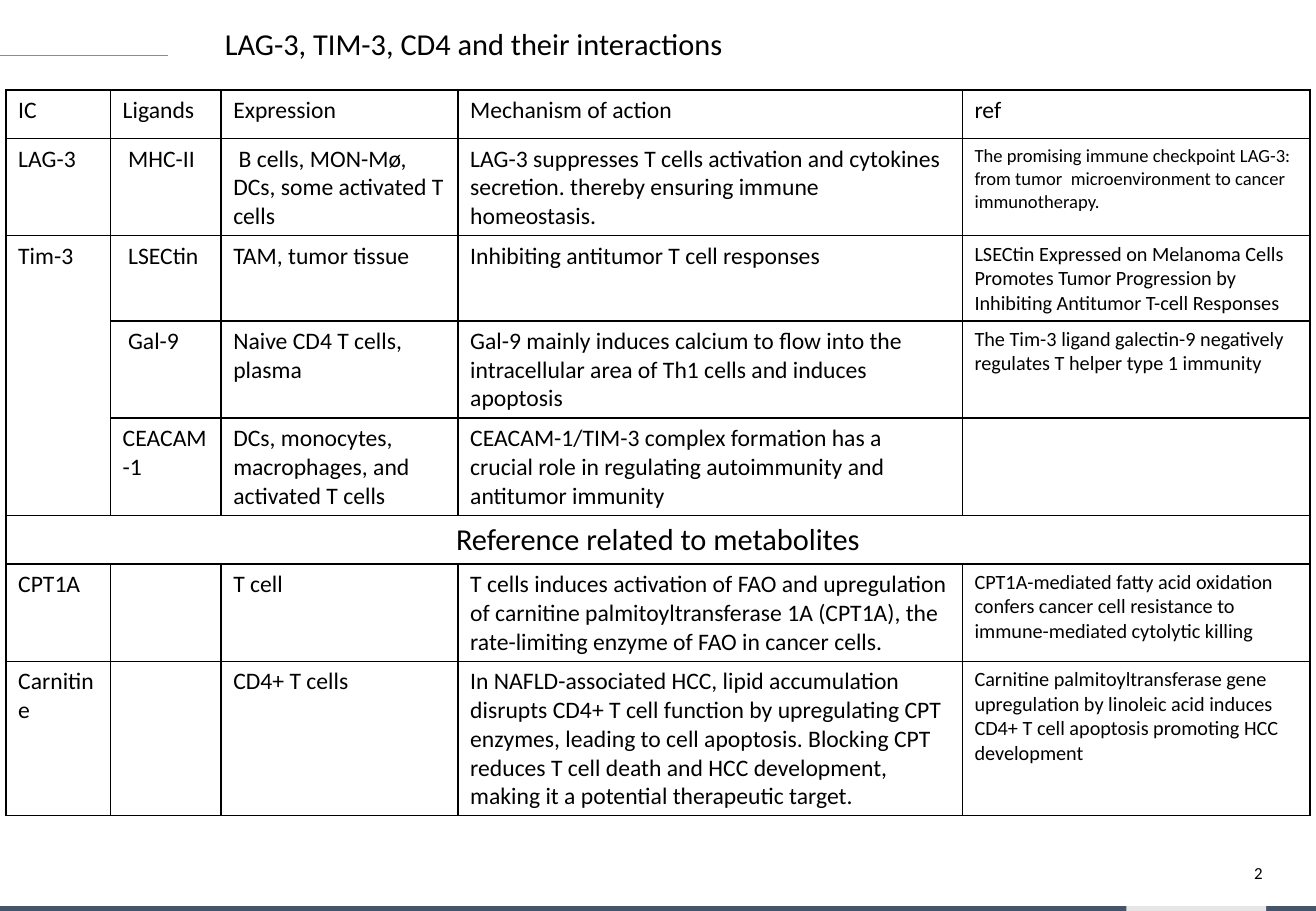
from dataclasses import dataclass

from lxml.etree import SubElement
from pptx import Presentation
from pptx.dml.color import RGBColor
from pptx.enum.shapes import MSO_CONNECTOR, MSO_SHAPE
from pptx.enum.text import MSO_ANCHOR, MSO_AUTO_SIZE, PP_ALIGN
from pptx.oxml.ns import qn
from pptx.util import Inches, Pt


@dataclass(frozen=True)
class Theme:
    font: str = "Calibri"
    ink: str = "000000"
    rule: str = "8C8C8C"
    bar: str = "44546A"
    bar_accent: str = "E7E6E6"
    heading: int = 18
    body: int = 14
    reference: int = 12
    small_reference: int = 11
    page: int = 10


THEME = Theme()
SLIDE_WIDTH, SLIDE_HEIGHT = 10.83, 7.5

COLUMN_WIDTHS = [0.86, 0.91, 1.95, 4.15, 2.86]
ROW_HEIGHTS = [0.4, 0.8, 0.7, 0.8, 0.8, 0.4, 0.8, 1.27]
REF_COLUMN = 4
SMALL_REF_ROW = 1
SECTION_ROW = 5
MERGES = [((2, 0), (4, 0)), ((SECTION_ROW, 0), (SECTION_ROW, REF_COLUMN))]

INTERACTIONS = [
    ["IC", "Ligands", "Expression", "Mechanism of action", "ref"],
    ["LAG-3", " MHC-II", " B cells, MON-Mø, DCs, some activated T cells",
     "LAG-3 suppresses T cells activation and cytokines secretion. "
     "thereby ensuring immune homeostasis.",
     "The promising immune checkpoint LAG-3: from tumor  microenvironment "
     "to cancer immunotherapy."],
    ["Tim-3", " LSECtin", "TAM, tumor tissue",
     "Inhibiting antitumor T cell responses",
     "LSECtin Expressed on Melanoma Cells Promotes Tumor Progression by "
     "Inhibiting Antitumor T-cell Responses"],
    ["", " Gal-9", "Naive CD4 T cells, plasma",
     "Gal-9 mainly induces calcium to flow into the intracellular area of "
     "Th1 cells and induces apoptosis",
     "The Tim-3 ligand galectin-9 negatively\n"
     "regulates T helper type 1 immunity"],
    ["", "CEACAM-1", "DCs, monocytes, macrophages, and activated T cells",
     "CEACAM-1/TIM-3 complex formation has a crucial role in regulating "
     "autoimmunity and antitumor immunity", ""],
    ["Reference related to metabolites", "", "", "", ""],
    ["CPT1A", "", "T cell",
     "T cells induces activation of FAO and upregulation of carnitine "
     "palmitoyltransferase 1A (CPT1A), the rate-limiting enzyme of FAO in "
     "cancer cells.",
     "CPT1A-mediated fatty acid oxidation confers cancer cell resistance to "
     "immune-mediated cytolytic killing"],
    ["Carnitine", "", "CD4+ T cells",
     "In NAFLD-associated HCC, lipid accumulation disrupts CD4+ T cell "
     "function by upregulating CPT enzymes, leading to cell apoptosis. "
     "Blocking CPT reduces T cell death and HCC development, making it a "
     "potential therapeutic target.",
     "Carnitine palmitoyltransferase gene upregulation by linoleic acid "
     "induces CD4+ T cell apoptosis promoting HCC development"],
]


def write(frame, text, size, align=PP_ALIGN.LEFT):
    """Fill a text frame, one paragraph for each line of text."""
    for index, line in enumerate(text.split("\n")):
        paragraph = frame.add_paragraph() if index else frame.paragraphs[0]
        paragraph.alignment = align
        run = paragraph.add_run()
        run.text = line
        run.font.name = THEME.font
        run.font.size = Pt(size)
        run.font.color.rgb = RGBColor.from_string(THEME.ink)


def add_title(slide, text):
    title = slide.shapes.title
    title.left, title.top = Inches(1.75), Inches(0.16)
    title.width, title.height = Inches(7.9), Inches(0.4)
    frame = title.text_frame
    frame.auto_size = MSO_AUTO_SIZE.NONE
    frame.vertical_anchor = MSO_ANCHOR.TOP
    write(frame, text, THEME.heading)


def add_page_number(slide, number):
    box = slide.shapes.add_textbox(
        Inches(10.14), Inches(7.12), Inches(0.25), Inches(0.13))
    frame = box.text_frame
    frame.word_wrap = True
    frame.vertical_anchor = MSO_ANCHOR.MIDDLE
    frame.margin_left = frame.margin_right = 0
    frame.margin_top = frame.margin_bottom = 0
    write(frame, number, THEME.page, PP_ALIGN.RIGHT)


def add_footer_bar(slide, left, width, color):
    height = 0.04
    bar = slide.shapes.add_shape(
        MSO_SHAPE.RECTANGLE, Inches(left), Inches(SLIDE_HEIGHT - height),
        Inches(width), Inches(height))
    bar.shadow.inherit = False
    bar.fill.solid()
    bar.fill.fore_color.rgb = RGBColor.from_string(color)
    bar.line.fill.background()


def add_title_rule(slide):
    rule = slide.shapes.add_connector(
        MSO_CONNECTOR.STRAIGHT, 0, Inches(0.46), Inches(1.38), Inches(0.46))
    rule.line.color.rgb = RGBColor.from_string(THEME.rule)
    rule.line.width = Pt(0.75)
    SubElement(rule._element.spPr, qn("a:effectLst"))


def add_borders(cell):
    properties = cell._tc.get_or_add_tcPr()
    for side in ("a:lnL", "a:lnR", "a:lnT", "a:lnB"):
        border = SubElement(properties, qn(side), w=str(Pt(1)))
        fill = SubElement(border, qn("a:solidFill"))
        SubElement(fill, qn("a:srgbClr"), val=THEME.ink)


def text_style(row, column):
    """Return the type size and alignment for a place in the table."""
    if row == SECTION_ROW:
        return THEME.heading, PP_ALIGN.CENTER
    if row == SMALL_REF_ROW and column == REF_COLUMN:
        return THEME.small_reference, PP_ALIGN.LEFT
    if row and column == REF_COLUMN:
        return THEME.reference, PP_ALIGN.LEFT
    return THEME.body, PP_ALIGN.LEFT


def add_interactions_table(slide):
    table = slide.shapes.add_table(
        len(ROW_HEIGHTS), len(COLUMN_WIDTHS), Inches(0.05), Inches(0.74),
        Inches(sum(COLUMN_WIDTHS)), Inches(sum(ROW_HEIGHTS))).table
    table.first_row = table.horz_banding = False
    for column, width in zip(table.columns, COLUMN_WIDTHS):
        column.width = Inches(width)
    for row, height in zip(table.rows, ROW_HEIGHTS):
        row.height = Inches(height)
    for start, end in MERGES:
        table.cell(*start).merge(table.cell(*end))
    for row, texts in enumerate(INTERACTIONS):
        for column, text in enumerate(texts):
            cell = table.cell(row, column)
            add_borders(cell)
            cell.fill.background()
            if text:
                write(cell.text_frame, text, *text_style(row, column))


def main():
    deck = Presentation()
    deck.slide_width = Inches(SLIDE_WIDTH)
    deck.slide_height = Inches(SLIDE_HEIGHT)
    slide = deck.slides.add_slide(deck.slide_layouts.get_by_name("Title Only"))

    # Page frame
    add_page_number(slide, "2")
    add_footer_bar(slide, 0, SLIDE_WIDTH, THEME.bar)
    add_footer_bar(slide, 9.27, 1.15, THEME.bar_accent)
    add_title_rule(slide)

    # Content
    add_title(slide, "LAG-3, TIM-3, CD4 and their interactions")
    add_interactions_table(slide)
    deck.save("out.pptx")


if __name__ == "__main__":
    main()
